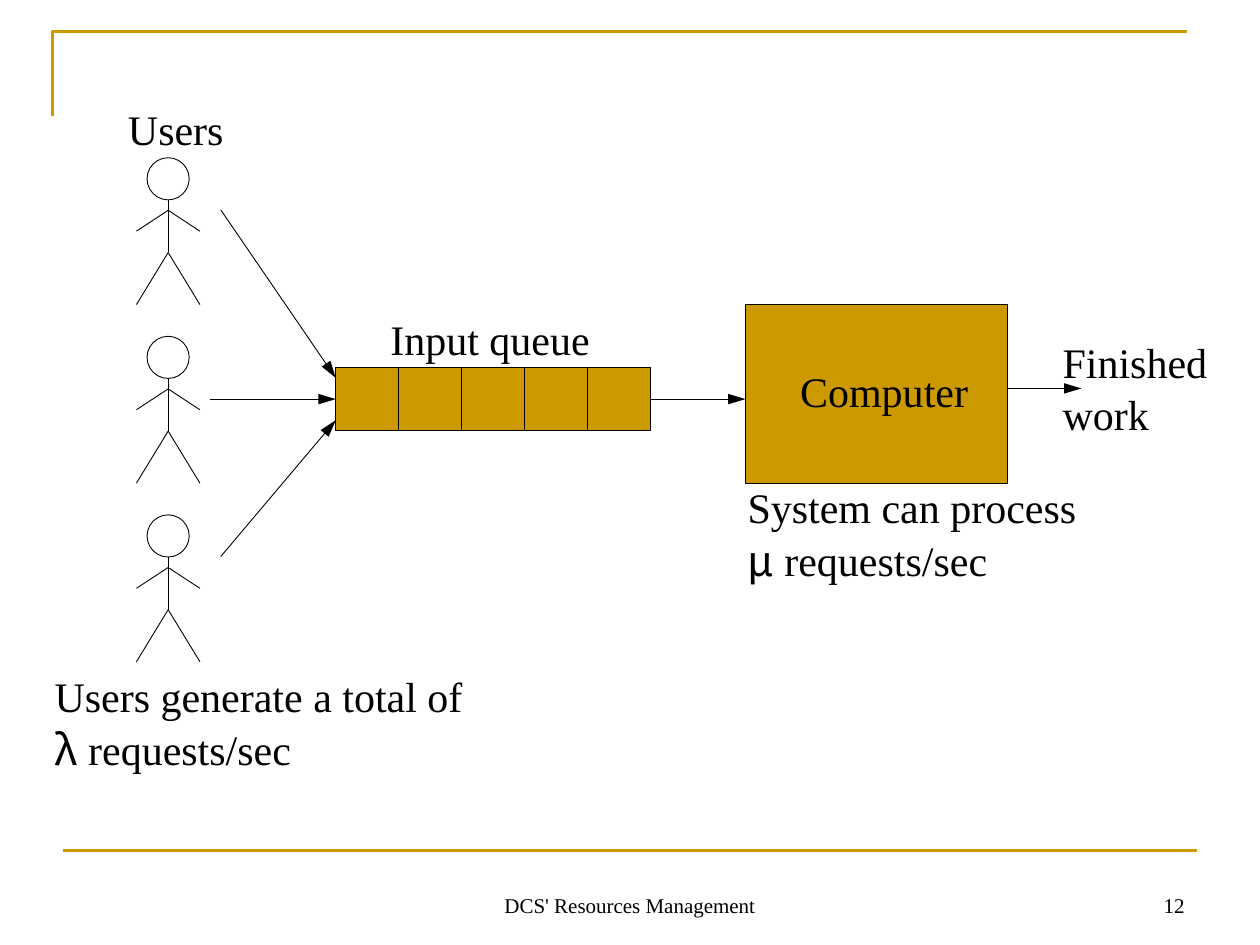
from lxml.etree import SubElement
from pptx import Presentation
from pptx.dml.color import RGBColor
from pptx.enum.shapes import MSO_CONNECTOR, MSO_SHAPE
from pptx.enum.text import MSO_ANCHOR, PP_ALIGN
from pptx.oxml.ns import qn
from pptx.util import Cm, Pt

COLOURS = {"ink": "000000", "paper": "FFFFFF", "gold": "CC9900"}
SERIF, GREEK = "Times New Roman", "Noto Sans CJK SC"
BREAK = "\n"
LABEL = {"size": 24, "align": PP_ALIGN.LEFT, "anchor": MSO_ANCHOR.TOP, "spacing": 1.05}
FOOTER = {"size": 12, "align": PP_ALIGN.CENTER, "anchor": MSO_ANCHOR.BOTTOM, "spacing": 1.0}
PAGE_NUMBER = {**FOOTER, "align": PP_ALIGN.RIGHT}


def colour(key):
    """Return the named colour."""
    return RGBColor.from_string(COLOURS[key])


def style_line(line, key="ink", width=0.5):
    """Set the colour and width of an outline or connector."""
    line.color.rgb = colour(key)
    line.width = Pt(width)


def add_block(slide, preset, bounds, fill):
    """Add a filled preset shape with a thin outline."""
    block = slide.shapes.add_shape(preset, *map(Cm, bounds))
    block.shadow.inherit = False
    block.fill.solid()
    block.fill.fore_color.rgb = colour(fill)
    style_line(block.line)
    return block


def add_line(slide, start, end, key="ink", width=0.5):
    """Add a straight line between two points."""
    stroke = slide.shapes.add_connector(MSO_CONNECTOR.STRAIGHT, *map(Cm, (*start, *end)))
    style_line(stroke.line, key, width)
    SubElement(stroke._element.spPr, qn("a:effectLst"))
    return stroke


def add_arrow(slide, start, end):
    """Add a line with an arrowhead at its end."""
    arrow = add_line(slide, start, end)
    SubElement(arrow.line._get_or_add_ln(), qn("a:tailEnd"), type="triangle", w="med", len="lg")
    return arrow


def add_text(slide, bounds, parts, look):
    """Add a text box from (text, font) parts."""
    frame = slide.shapes.add_textbox(*map(Cm, bounds)).text_frame
    frame.word_wrap = True
    frame.vertical_anchor = look["anchor"]
    paragraph = frame.paragraphs[0]
    for name, value in {"alignment": look["align"], "line_spacing": look["spacing"]}.items():
        setattr(paragraph, name, value)
    for words, family in parts:
        if words == BREAK:
            paragraph.add_line_break()
            continue
        run = paragraph.add_run()
        run.text = words
        for name, value in {"name": family, "size": Pt(look["size"])}.items():
            setattr(run.font, name, value)
        run.font.color.rgb = colour("ink")


def add_user(slide, centre, top):
    """Draw one stick figure."""
    head, shoulder, hand, hip, foot, reach = 0.85, 1.06, 1.48, 1.91, 2.96, 0.64
    add_block(slide, MSO_SHAPE.OVAL, (centre - head / 2, top, head, head), "paper")
    add_line(slide, (centre, top + head), (centre, top + hip))
    for joint, tip in ((hip, foot), (shoulder, hand)):
        for side in (-reach, reach):
            add_line(slide, (centre, top + joint), (centre + side, top + tip))


def add_frame(slide):
    """Draw the gold corner rule and the footer rule."""
    builder = slide.shapes.build_freeform(Cm(1.06), Cm(2.33))
    builder.add_line_segments([(Cm(1.06), Cm(0.64)), (Cm(23.92), Cm(0.64))], close=False)
    corner = builder.convert_to_shape()
    corner.shadow.inherit = False
    corner.fill.background()
    style_line(corner.line, "gold", 1.5)
    add_line(slide, (1.27, 17.15), (24.13, 17.15), "gold", 1.5)


def add_system(slide):
    """Draw the input queue, the computer and the request flow."""
    left, top, cell, cells = 6.77, 7.41, 1.27, 5
    queue = add_block(slide, MSO_SHAPE.RECTANGLE, (left, top, cell * cells, cell), "gold")
    add_block(slide, MSO_SHAPE.RECTANGLE, (15.03, 6.14, 5.29, 3.6), "gold")
    for index in range(1, cells):
        divider = left + index * cell
        add_line(slide, (divider, top), (divider, top + cell))
    middle = top + cell / 2
    add_arrow(slide, (4.45, 11.22), (left, 8.47))
    add_arrow(slide, (4.23, middle), (left, middle)).end_connect(queue, 1)
    add_arrow(slide, (4.45, 4.23), (left, 7.62))
    add_arrow(slide, (left + cell * cells, middle), (15.03, middle)).begin_connect(queue, 3)
    add_arrow(slide, (20.32, 7.83), (21.8, 7.83))


def main():
    """Build the queueing slide."""
    deck = Presentation()
    deck.slide_width, deck.slide_height = Cm(25.4), Cm(19.05)
    slide = deck.slides.add_slide(deck.slide_layouts[6])
    add_frame(slide)
    for index in range(3):
        add_user(slide, 3.39, 3.18 + 3.6 * index)
    add_system(slide)

    rate = (" requests/sec", SERIF)
    texts = (
        ((2.33, 1.91, 3.6, 1.27), [("Users", SERIF)], LABEL),
        ((7.62, 6.14, 4.66, 1.27), [("Input queue", SERIF)], LABEL),
        ((15.88, 7.2, 4.45, 1.27), [("Computer", SERIF)], LABEL),
        ((21.17, 6.6, 3.6, 2.29), [("Finished work", SERIF)], LABEL),
        ((0.85, 13.34, 9.31, 2.29),
         [("Users generate a total of", SERIF), (BREAK, SERIF), ("λ", GREEK), rate], LABEL),
        ((14.82, 9.53, 7.83, 2.29),
         [("System can process", SERIF), (BREAK, SERIF), ("μ", GREEK), rate], LABEL),
        ((8.68, 17.36, 8.04, 1.27), [("DCS' Resources Management", SERIF)], FOOTER),
        ((18.2, 17.36, 5.93, 1.27), [("12", SERIF)], PAGE_NUMBER),
    )
    for bounds, parts, look in texts:
        add_text(slide, bounds, parts, look)
    deck.save("out.pptx")


if __name__ == "__main__":
    main()
